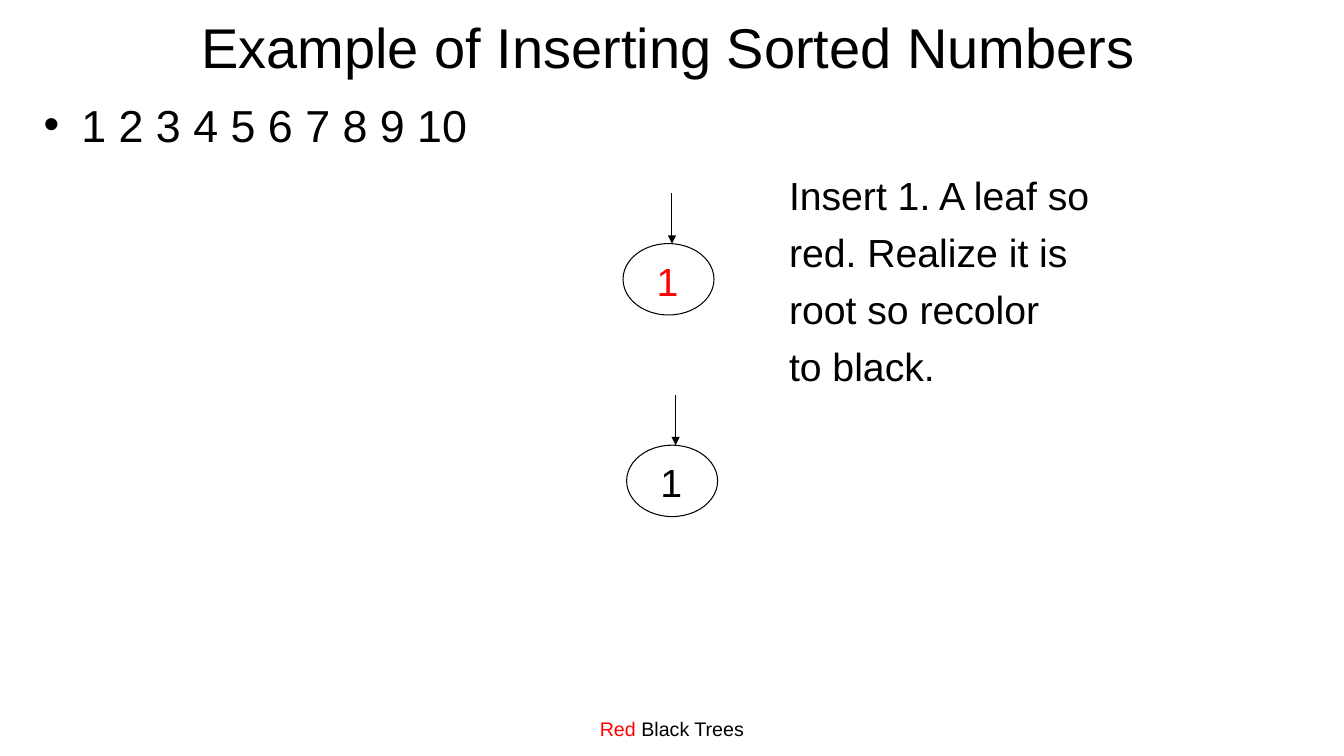
from lxml import etree
from pptx import Presentation
from pptx.dml.color import RGBColor
from pptx.enum.shapes import MSO_CONNECTOR, MSO_SHAPE
from pptx.enum.text import MSO_ANCHOR, PP_ALIGN
from pptx.oxml.ns import qn
from pptx.util import Pt

# Content
HEADING = "Example of Inserting Sorted Numbers"
NUMBERS = "1 2 3 4 5 6 7 8 9 10"
EXPLANATION = ["Insert 1. A leaf so", "red. Realize it is",
               "root so recolor", "to black."]
FOOTER = ["Red", " Black Trees"]

BLACK = RGBColor(0x00, 0x00, 0x00)
RED = RGBColor(0xFF, 0x00, 0x00)
FONT = "Arial"

# Tree roots: key, key colour, node left, node top, arrow x
ROOTS = [("1", RED, 445, 174, 480), ("1", BLACK, 447.6, 318, 482.6)]
NODE_WIDTH, NODE_HEIGHT = 65, 51
KEY_INSET_X, KEY_INSET_Y = 17, 6
KEY_WIDTH, KEY_HEIGHT = 30, 41
ARROW_LENGTH = 36

prs = Presentation()
prs.slide_width, prs.slide_height = Pt(960), Pt(540)
slide = prs.slides.add_slide(prs.slide_layouts[6])
shapes = slide.shapes


def style(run, size, color):
    run.font.name = FONT
    run.font.size = Pt(size)
    run.font.color.rgb = color


def add_text(lines, left, top, width, height, size, color=BLACK,
             align=PP_ALIGN.LEFT, before=0, wrap=True):
    box = shapes.add_textbox(Pt(left), Pt(top), Pt(width), Pt(height))
    frame = box.text_frame
    frame.word_wrap = wrap
    frame.text = "\n".join(lines)
    for paragraph in frame.paragraphs:
        paragraph.alignment = align
        paragraph.space_before = Pt(before)
        for run in paragraph.runs:
            style(run, size, color)
    return frame


def add_arrow(x, tip_y):
    arrow = shapes.add_connector(MSO_CONNECTOR.STRAIGHT, Pt(x),
                                 Pt(tip_y - ARROW_LENGTH), Pt(x), Pt(tip_y))
    arrow.line.color.rgb = BLACK
    arrow.line.width = Pt(0.75)
    etree.SubElement(arrow.line._get_or_add_ln(), qn("a:tailEnd"), type="triangle")
    etree.SubElement(arrow._element.spPr, qn("a:effectLst"))


def add_node(left, top):
    node = shapes.add_shape(MSO_SHAPE.OVAL, Pt(left), Pt(top),
                            Pt(NODE_WIDTH), Pt(NODE_HEIGHT))
    node.shadow.inherit = False
    node.fill.background()
    node.line.color.rgb = BLACK
    node.line.width = Pt(0.75)


# Footer, set on the lower line of its box
footer = add_text([FOOTER[0]], 296, 492, 368, 36, 14, RED, PP_ALIGN.CENTER)
footer.margin_top = Pt(20)
footer_rest = footer.paragraphs[0].add_run()
footer_rest.text = FOOTER[1]
style(footer_rest, 14, BLACK)

# Title
title = add_text([HEADING], 132, -12, 690, 90, 40, align=PP_ALIGN.CENTER)
title.vertical_anchor = MSO_ANCHOR.MIDDLE

# Bulleted sequence
sequence = add_text([NUMBERS], 24, 66, 912, 432, 32, before=7)
bullet_props = sequence.paragraphs[0]._p.get_or_add_pPr()
bullet_props.set("marL", str(Pt(27)))
bullet_props.set("indent", str(Pt(-27)))
etree.SubElement(bullet_props, qn("a:buFont"), typeface=FONT)
etree.SubElement(bullet_props, qn("a:buChar"), char="•")

# Root before and after recolouring
for key, key_color, left, top, arrow_x in ROOTS:
    add_node(left, top)
    add_text([key], left + KEY_INSET_X, top + KEY_INSET_Y, KEY_WIDTH, KEY_HEIGHT,
             28, key_color, before=7, wrap=False)
    add_arrow(arrow_x, top)

# Explanation
add_text(EXPLANATION, 556.5, 119, 240, 162, 28, before=7, wrap=False)

prs.save("out.pptx")
